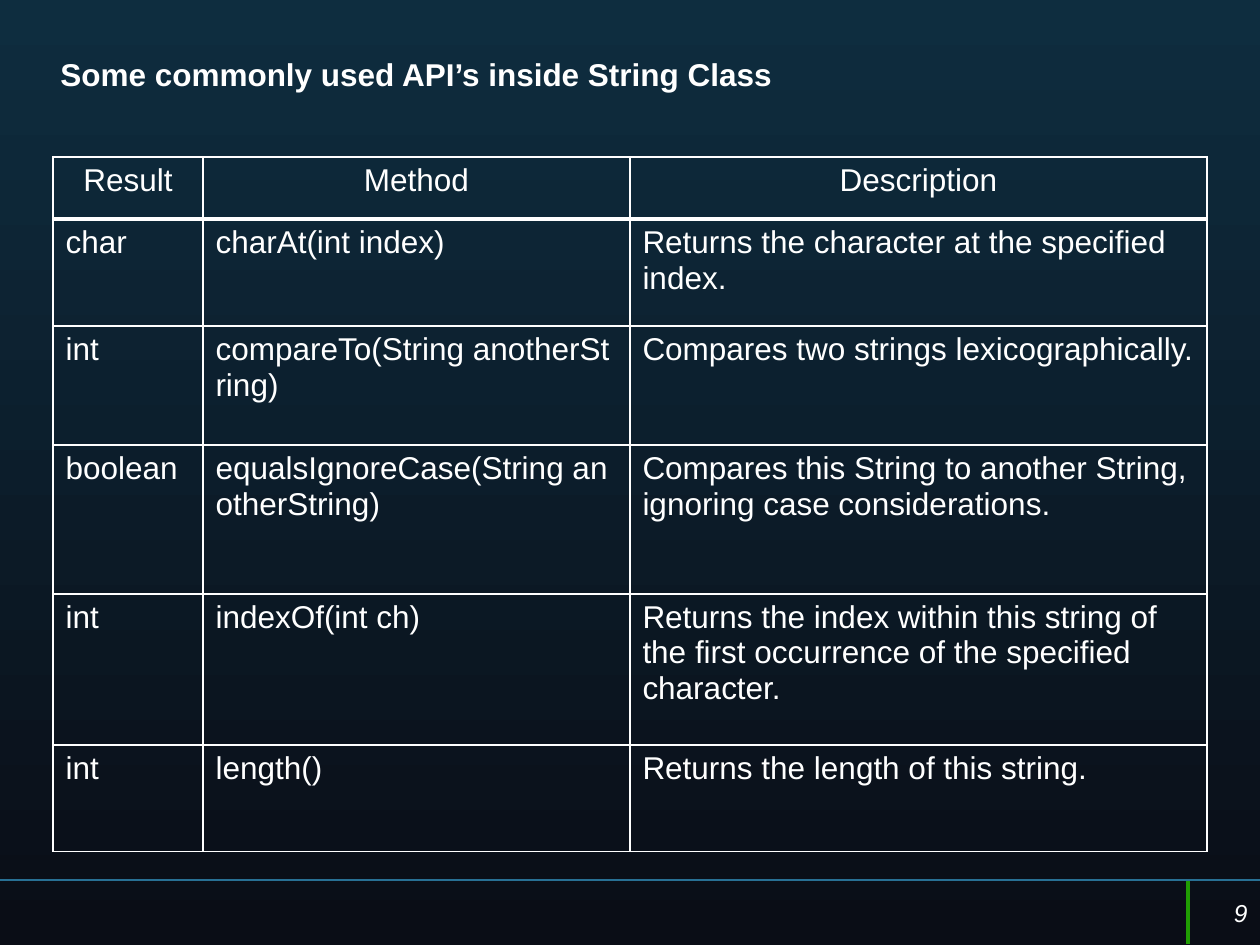
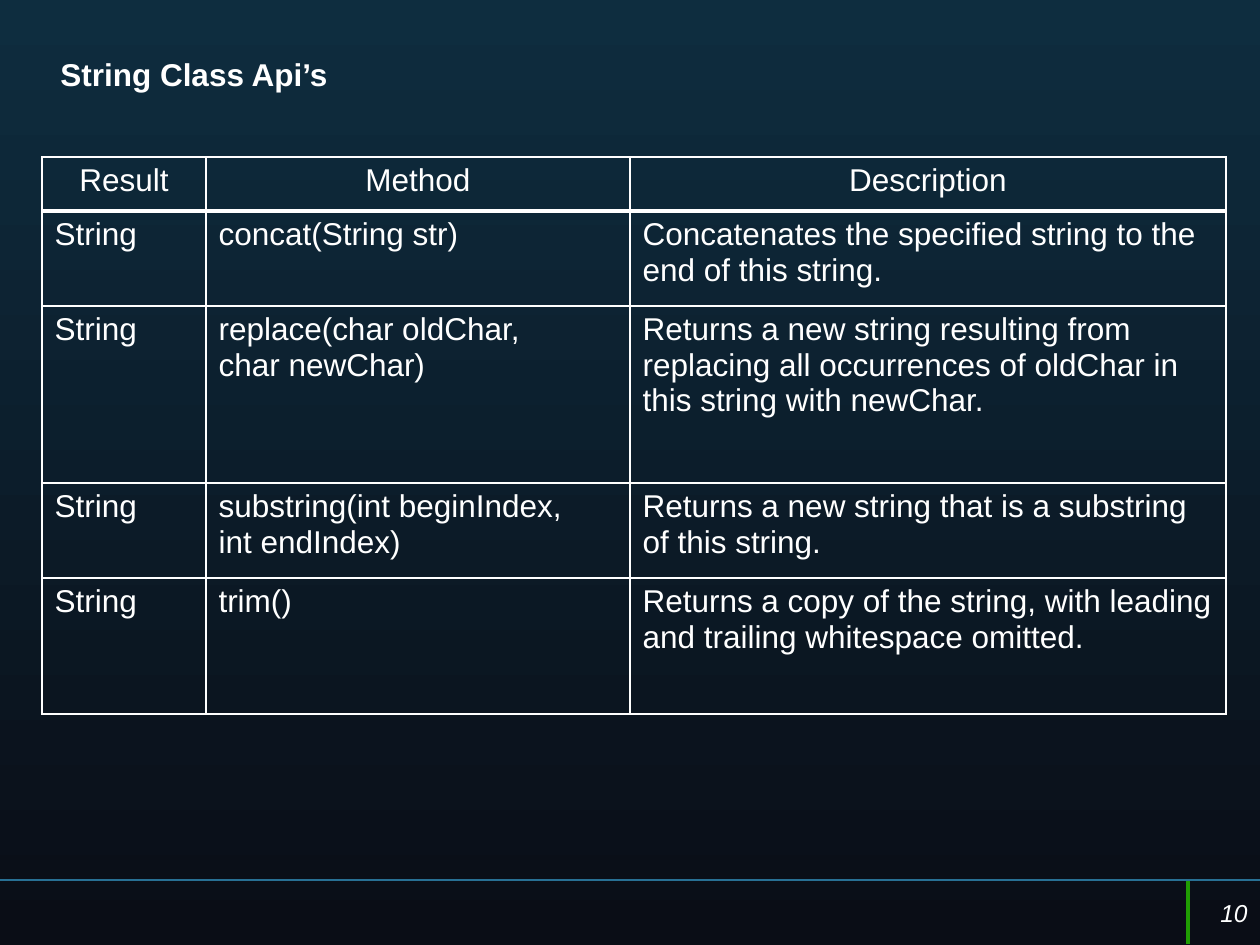
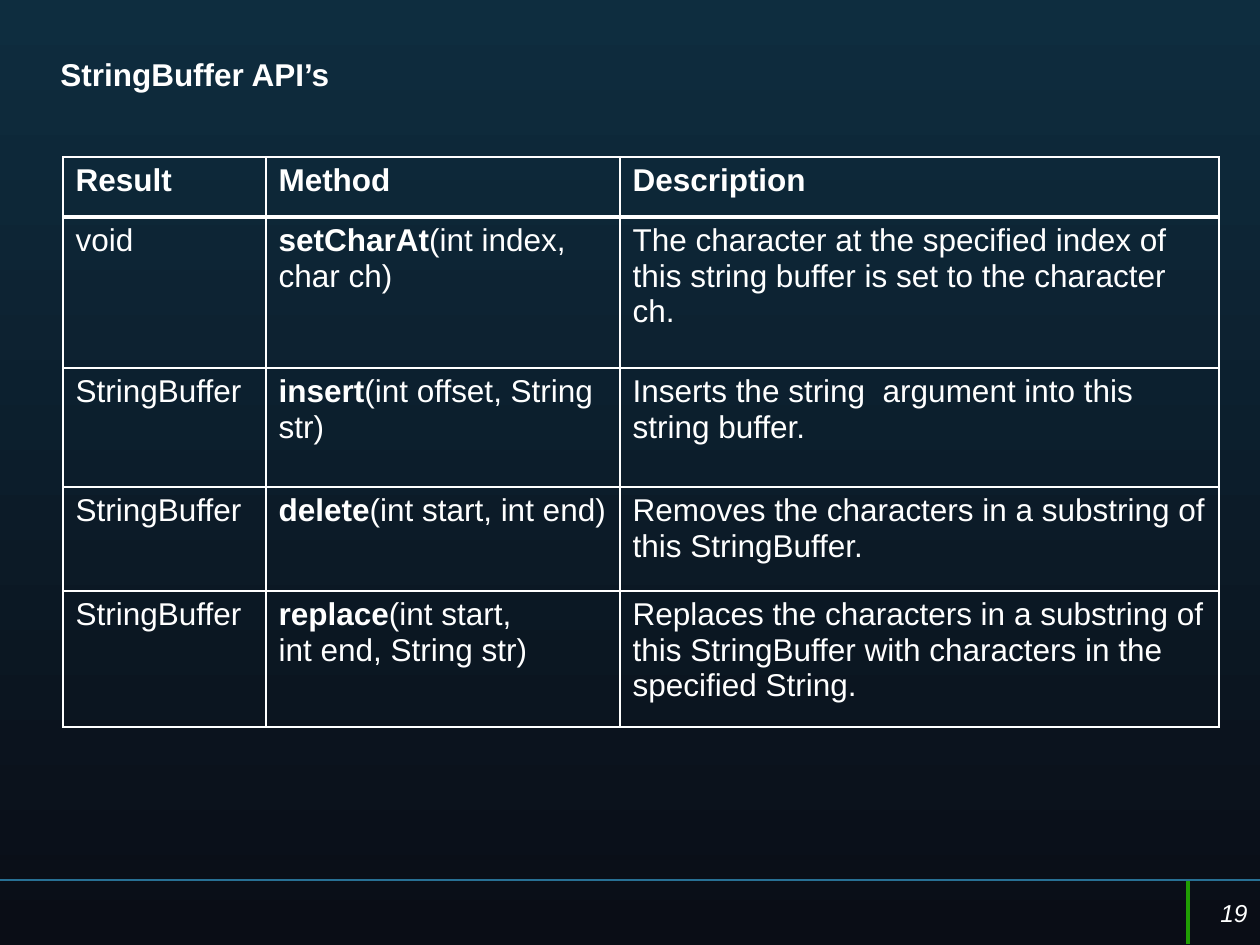
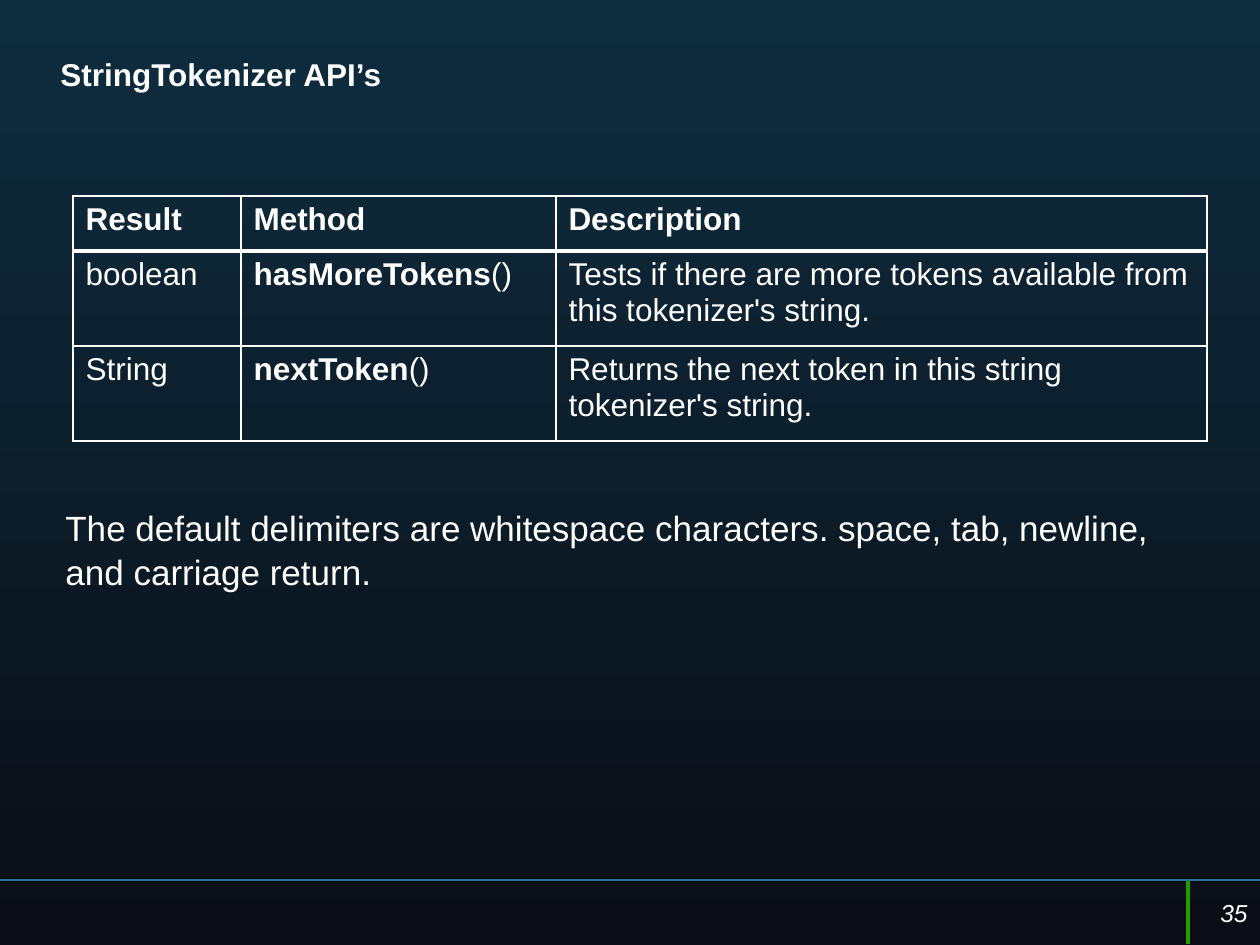
import pptx
import pptx.util
import pptx.dml.color
import pptx.enum.text
import pptx.enum.shapes
import pptx.oxml.ns
import lxml.etree

# Shared look
PX = 914400 // 126
WIDE, HIGH = 1260, 945
FONT = "Arial"
WHITE, TEAL, GREEN = "FFFFFF", "287094", "209D03"
SKY, NIGHT = "0E2D3F", "0A0D16"
ALIGN = pptx.enum.text.PP_ALIGN
HEADS = ["Result", "Method", "Description"]


def px(*vals):
    return [pptx.util.Emu(round(v * PX)) for v in vals]


def rgb(code):
    return pptx.dml.color.RGBColor.from_string(code)


def style(para, size, align=ALIGN.LEFT, **traits):
    para.alignment = align
    font = para.font
    font.name, font.size = FONT, pptx.util.Pt(size)
    font.color.rgb = rgb(WHITE)
    for trait, val in traits.items():
        setattr(font, trait, val)


def text(slide, box, words, size, align=ALIGN.LEFT, **traits):
    frame = slide.shapes.add_textbox(*px(*box)).text_frame
    frame.word_wrap = True
    frame.text = words
    style(frame.paragraphs[0], size, align, **traits)
    return frame


def rule(slide, ends, color, width):
    line = slide.shapes.add_connector(
        pptx.enum.shapes.MSO_CONNECTOR.STRAIGHT, *px(*ends))
    line.line.color.rgb = rgb(color)
    line.line.width = pptx.util.Pt(width)
    props = line._element.spPr
    lxml.etree.SubElement(props, pptx.oxml.ns.qn("a:effectLst"))


def edge(cell, widths):
    """Draw white borders; widths are points for left, right, top, bottom."""
    props = cell._tc.get_or_add_tcPr()
    qn = pptx.oxml.ns.qn
    for spot, (side, width) in enumerate(zip("LRTB", widths)):
        line = lxml.etree.Element(qn("a:ln" + side), w=str(pptx.util.Pt(width)))
        fill = lxml.etree.SubElement(line, qn("a:solidFill"))
        lxml.etree.SubElement(fill, qn("a:srgbClr"), val=WHITE)
        props.insert(spot, line)


def backdrop(deck):
    fill = deck.slide_master.background.fill
    fill.gradient()
    fill.gradient_angle = 270
    for stop, color in zip(fill.gradient_stops, (SKY, NIGHT)):
        stop.color.rgb = rgb(color)


def footer(slide, number, top=880, bar=1188):
    rule(slide, (WIDE, top, 0, top), TEAL, 0.75)
    rule(slide, (bar, top + 1, bar, HIGH - 1), GREEN, 2)
    frame = text(slide, (bar, top + 3, WIDE - bar, 60), str(number), 14,
                 ALIGN.RIGHT, italic=True)
    frame.vertical_anchor = pptx.enum.text.MSO_ANCHOR.MIDDLE


def grid(slide, left, top, cols, tall, rows, strong):
    """Place a method table; a bar in a cell ends its bold part."""
    rows = [HEADS] + rows
    table = slide.shapes.add_table(
        len(rows), len(cols), *px(left, top, sum(cols), sum(tall))).table
    table.first_row = table.horz_banding = False
    for col, width in zip(table.columns, px(*cols)):
        col.width = width
    for row, height in zip(table.rows, px(*tall)):
        row.height = height
    for r, row in enumerate(rows):
        for c, words in enumerate(row):
            cell = table.cell(r, c)
            cell.fill.background()
            edge(cell, (1, 1, 3 if r == 1 else 1, 3 if r == 0 else 1))
            para = cell.text_frame.paragraphs[0]
            middle = r == 0 and not strong
            style(para, 18, ALIGN.CENTER if middle else ALIGN.LEFT,
                  bold=r == 0 and strong)
            name, bar, rest = words.partition("|")
            run = para.add_run()
            run.text = name
            if bar:
                run.font.bold = True
                para.add_run().text = rest


def page(deck, title, number, **table):
    slide = deck.slides.add_slide(deck.slide_layouts[6])
    footer(slide, number)
    text(slide, (48, 49, 1157, 83), title, 18, bold=True)
    grid(slide, **table)
    return slide


deck = pptx.Presentation()
deck.slide_width, deck.slide_height = px(WIDE, HIGH)
backdrop(deck)

# String methods, first part
page(deck, "Some commonly used API’s inside String Class", 9,
     left=53, top=157, cols=[150, 427, 577],
     tall=[62, 107, 119, 149, 151, 107], strong=False, rows=[
         ["char", "charAt(int\u00a0index)",
          "Returns the character at the specified index."],
         ["int", "compareTo(String\u00a0anotherString)",
          "Compares two strings lexicographically."],
         ["boolean", "equalsIgnoreCase(String\u00a0anotherString)",
          "Compares this String to another String, "
          "ignoring case considerations."],
         ["int", "indexOf(int\u00a0ch)",
          "Returns the index within this string of the first occurrence "
          "of the specified character."],
         ["int", "length()", "Returns the length of this string."]])

# String methods, second part
page(deck, "String Class Api’s", 10,
     left=42, top=157, cols=[164, 424, 596],
     tall=[54, 95, 177, 95, 136], strong=False, rows=[
         ["String", "concat(String\u00a0str)",
          "Concatenates the specified string to the end of this string."],
         ["String", "replace(char\u00a0oldChar, char\u00a0newChar)",
          "Returns a new string resulting from replacing all occurrences "
          "of oldChar in this string with newChar."],
         ["String", "substring(int\u00a0beginIndex, int\u00a0endIndex)",
          "Returns a new string that is a substring of this string."],
         ["String", "trim()",
          "Returns a copy of the string, with leading and trailing "
          "whitespace omitted."]])

# StringBuffer methods
page(deck, "StringBuffer API’s", 19,
     left=63, top=157, cols=[203, 354, 599],
     tall=[60, 151, 119, 104, 136], strong=True, rows=[
         ["void", "setCharAt|(int index, char ch)",
          "The character at the specified index of this string buffer "
          "is set to the character ch."],
         ["StringBuffer", "insert|(int\u00a0offset, String str)",
          "Inserts the string  argument into this string buffer."],
         ["StringBuffer", "delete|(int\u00a0start, int\u00a0end)",
          "Removes the characters in a substring of this StringBuffer."],
         ["StringBuffer", "replace|(int\u00a0start, int\u00a0end, String str)",
          "Replaces the characters in a substring of this StringBuffer "
          "with characters in the specified String."]])

# StringTokenizer methods, with a remark below the table
last = page(deck, "StringTokenizer API’s", 35,
            left=73, top=196, cols=[168, 315, 651],
            tall=[55, 95, 95], strong=True, rows=[
                ["boolean", "hasMoreTokens|()",
                 "Tests if there are more tokens available from "
                 "this tokenizer's string."],
                ["String", "nextToken|()",
                 "Returns the next token in this string "
                 "tokenizer's string."]])
remark = text(last, (53, 498, 1155, 296),
              "The default delimiters are whitespace characters. "
              "space, tab, newline, and carriage return.", 20)
remark.paragraphs[0].line_spacing = 1.05

deck.save("out.pptx")
